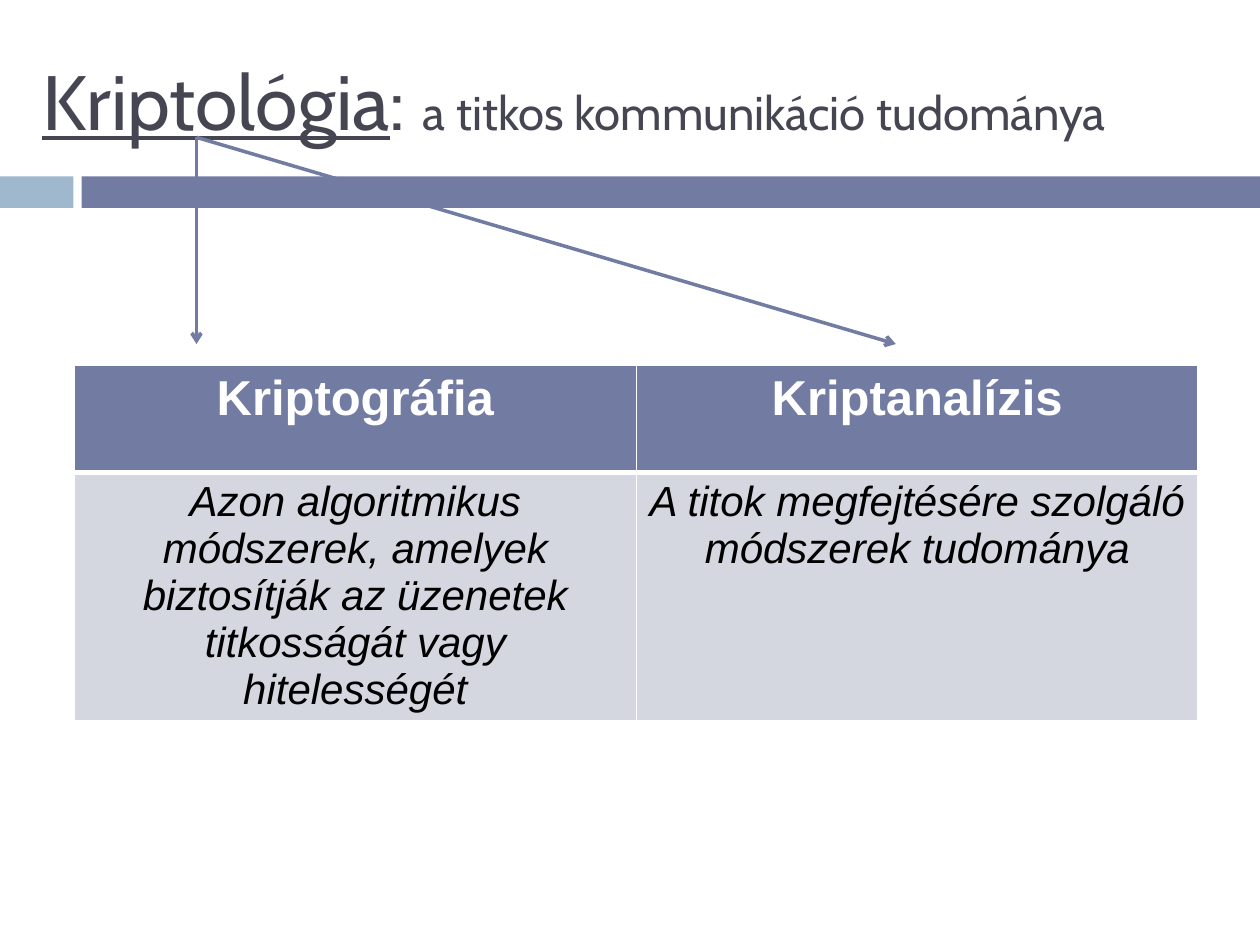
from lxml.etree import SubElement
from pptx import Presentation
from pptx.dml.color import RGBColor
from pptx.enum.shapes import MSO_CONNECTOR, MSO_SHAPE
from pptx.enum.text import MSO_ANCHOR, PP_ALIGN
from pptx.oxml import parse_xml
from pptx.oxml.ns import nsdecls, qn
from pptx.util import Pt

BLUE, PALE_BLUE, GREY, DARK = "727CA3", "9FB8CD", "D5D7E0", "464653"


def rgb(value):
    return RGBColor.from_string(value)


def format_run(r, color, **values):
    r.font.color.rgb = rgb(color)
    for name, value in values.items():
        setattr(r.font, name, value)


prs = Presentation()
prs.slide_width, prs.slide_height = Pt(720), Pt(540)
s = prs.slides.add_slide(prs.slide_layouts[5])

# Band under the title
for left, width, color in [(0, 42, PALE_BLUE), (46.6, 673.4, BLUE)]:
    sp = s.shapes.add_shape(MSO_SHAPE.RECTANGLE, Pt(left), Pt(100.8), Pt(width), Pt(18))
    sp.shadow.inherit = False
    sp.fill.solid()
    sp.fill.fore_color.rgb = rgb(color)
    sp.line.fill.background()

# Title
title = s.shapes.title
title.left, title.top, title.width, title.height = Pt(16.8), Pt(18), Pt(673), Pt(78)
tf = title.text_frame
tf.word_wrap = True
tf.vertical_anchor = MSO_ANCHOR.MIDDLE
p = tf.paragraphs[0]
p.alignment = PP_ALIGN.LEFT
for text, size, underline in [
    ("Kriptológia", 44, True),
    (": ", 44, False),
    ("a titkos kommunikáció tudománya", 27, False),
]:
    r = p.add_run()
    r.text = text
    format_run(r, DARK, name="Cabin", size=Pt(size), underline=underline)

# Table of the two branches
rows = [
    ("Kriptográfia", "Kriptanalízis"),
    ("Azon algoritmikus módszerek, amelyek biztosítják az üzenetek titkosságát vagy hitelességét",
     "A titok megfejtésére szolgáló módszerek tudománya"),
]
row_formats = [
    dict(color="FFFFFF", size=Pt(28), bold=True, italic=False),
    dict(color="000000", size=Pt(24), bold=False, italic=True),
]
row_fills = [BLUE, GREY]
row_borders = [dict(L=1, R=1, T=1, B=3), dict(L=1, R=1, T=3, B=1)]
table = s.shapes.add_table(2, 2, Pt(42.5), Pt(208.8), Pt(642.2), Pt(203)).table
for row, height in zip(table.rows, (61.2, 141.8)):
    row.height = Pt(height)
for i, texts in enumerate(rows):
    for j, text in enumerate(texts):
        cell = table.cell(i, j)
        cell.fill.solid()
        cell.fill.fore_color.rgb = rgb(row_fills[i])
        p = cell.text_frame.paragraphs[0]
        p.alignment = PP_ALIGN.CENTER
        r = p.add_run()
        r.text = text
        format_run(r, name="Arial", **row_formats[i])
        tc_pr = cell._tc.get_or_add_tcPr()
        for k, (side, width) in enumerate(row_borders[i].items()):
            tc_pr.insert(k, parse_xml(
                f'<a:ln{side} {nsdecls("a")} w="{Pt(width)}"><a:solidFill>'
                f'<a:srgbClr val="FFFFFF"/></a:solidFill></a:ln{side}>'))

# Arrows from the title to the two columns
for end_x in (112.3, 511.9):
    arrow = s.shapes.add_connector(
        MSO_CONNECTOR.STRAIGHT, Pt(112.3), Pt(78.5), Pt(end_x), Pt(196.6))
    arrow.line.color.rgb = rgb(BLUE)
    arrow.line.width = Pt(2)
    SubElement(arrow.line._get_or_add_ln(), qn("a:tailEnd"), type="arrow")
    SubElement(arrow._element.spPr, qn("a:effectLst"))

prs.save("out.pptx")
